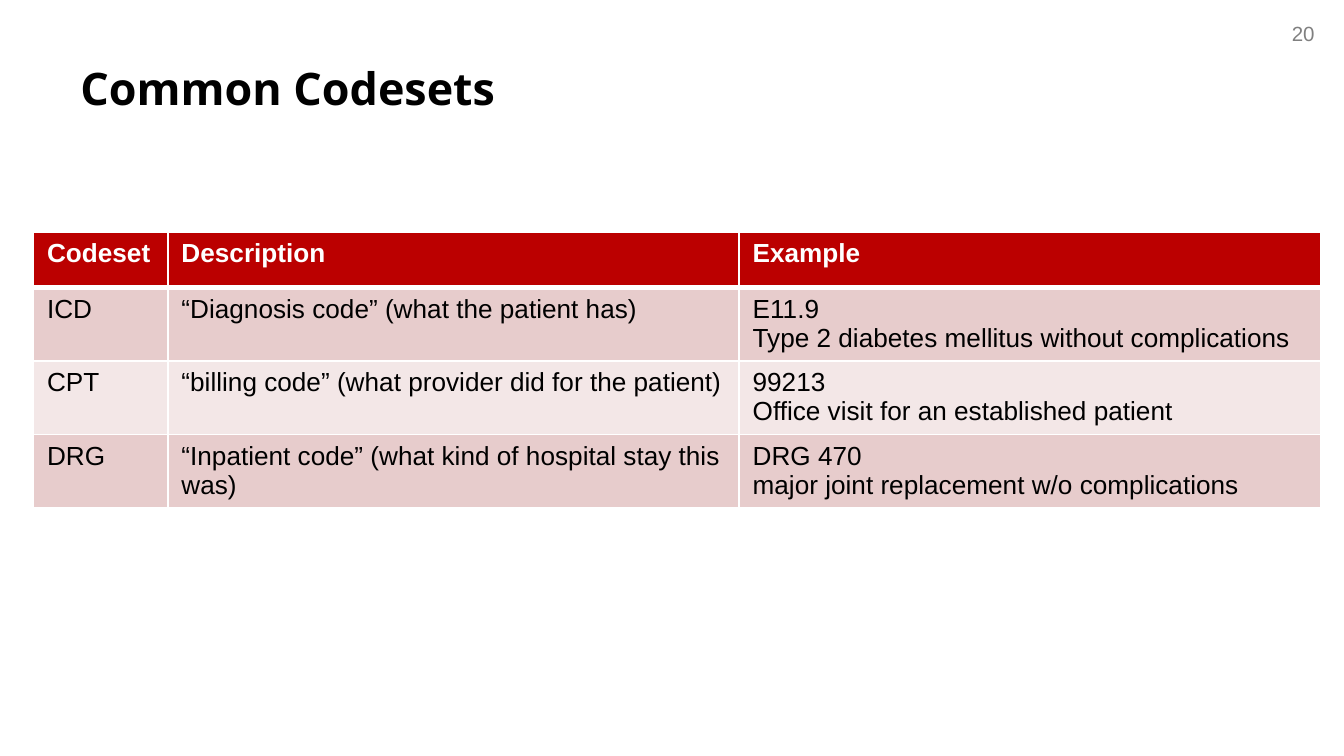
import dataclasses

import lxml.etree
import pptx
import pptx.dml.color
import pptx.enum.text
import pptx.oxml.ns
import pptx.slide
import pptx.table
import pptx.text.text
import pptx.util

Inches = pptx.util.Inches
COLORS = {
    "title": "000000",
    "number": "808080",
    "header": "BB0000",
    "header_text": "FFFFFF",
    "body_text": "000000",
    "odd_row": "E7CCCC",
    "even_row": "F3E7E7",
    "border": "FFFFFF",
}


@dataclasses.dataclass(frozen=True)
class TextStyle:
    font: str
    size: int
    color: str
    bold: bool = False
    align: pptx.enum.text.PP_ALIGN = pptx.enum.text.PP_ALIGN.LEFT


@dataclasses.dataclass(frozen=True)
class Label:
    text: str
    left: float
    top: float
    width: float
    height: float
    style: TextStyle


@dataclasses.dataclass(frozen=True)
class Codeset:
    name: str
    description: str
    example: tuple[str, ...]


HEADER_STYLE = TextStyle("Arial", 14, "header_text", bold=True)
BODY_STYLE = TextStyle("Arial", 14, "body_text")
LABELS = [
    Label("20", 9.33, 0.11, 0.55, 0.29,
          TextStyle("Arial", 11, "number", align=pptx.enum.text.PP_ALIGN.RIGHT)),
    Label("Common Codesets", 0.5, 0.4, 9, 0.67,
          TextStyle("Open Sans", 24, "title", bold=True)),
]
HEADINGS = Codeset("Codeset", "Description", ("Example",))
CODESETS = [
    Codeset("ICD", "“Diagnosis code” (what the patient has)",
            ("E11.9", "Type 2 diabetes mellitus without complications")),
    Codeset("CPT", "“billing code” (what provider did for the patient)",
            ("99213", "Office visit for an established patient")),
    Codeset("DRG", "“Inpatient code” (what kind of hospital stay this was)",
            ("DRG 470", "major joint replacement w/o complications")),
]
COLUMN_WIDTHS = (1, 4.25, 4.33)
ROW_HEIGHT = 0.41


def rgb(name: str) -> pptx.dml.color.RGBColor:
    return pptx.dml.color.RGBColor.from_string(COLORS[name])


def write_lines(frame: pptx.text.text.TextFrame, lines: tuple[str, ...], style: TextStyle) -> None:
    paragraph = frame.paragraphs[0]
    for index, line in enumerate(lines):
        if index:
            paragraph.add_line_break()
        paragraph.add_run().text = line
    paragraph.alignment = style.align
    paragraph.font.name = style.font
    paragraph.font.size = pptx.util.Pt(style.size)
    paragraph.font.bold = style.bold
    paragraph.font.color.rgb = rgb(style.color)


def add_label(slide: pptx.slide.Slide, label: Label) -> None:
    box = slide.shapes.add_textbox(
        Inches(label.left), Inches(label.top), Inches(label.width), Inches(label.height)
    )
    box.text_frame.word_wrap = True
    write_lines(box.text_frame, (label.text,), label.style)


def add_border(cell: pptx.table._Cell, side: str, points: float) -> None:
    qn = pptx.oxml.ns.qn
    properties = cell._tc.get_or_add_tcPr()
    line = lxml.etree.SubElement(properties, qn(f"a:ln{side}"), w=str(pptx.util.Pt(points)))
    fill = lxml.etree.SubElement(line, qn("a:solidFill"))
    lxml.etree.SubElement(fill, qn("a:srgbClr"), val=COLORS["border"])


def add_codeset_table(slide: pptx.slide.Slide) -> None:
    rows = [HEADINGS, *CODESETS]
    table = slide.shapes.add_table(
        len(rows), len(COLUMN_WIDTHS), Inches(0.25), Inches(1.73),
        Inches(sum(COLUMN_WIDTHS)), Inches(ROW_HEIGHT * len(rows)),
    ).table
    for column, width in zip(table.columns, COLUMN_WIDTHS):
        column.width = Inches(width)
    for row_index, codeset in enumerate(rows):
        table.rows[row_index].height = Inches(ROW_HEIGHT)
        style = BODY_STYLE if row_index else HEADER_STYLE
        band = "odd_row" if row_index % 2 else "even_row"
        fill = band if row_index else "header"
        borders = {
            "L": 1,
            "R": 1,
            "T": 3 if row_index == 1 else 1,
            "B": 3 if row_index == 0 else 1,
        }
        contents = ((codeset.name,), (codeset.description,), codeset.example)
        for cell, lines in zip(table.rows[row_index].cells, contents):
            write_lines(cell.text_frame, lines, style)
            cell.margin_bottom = Inches(0.03)
            for side, points in borders.items():
                add_border(cell, side, points)
            cell.fill.solid()
            cell.fill.fore_color.rgb = rgb(fill)


def main() -> None:
    """Build the slide that lists common medical codesets."""
    presentation = pptx.Presentation()
    presentation.slide_width = Inches(10)
    presentation.slide_height = presentation.slide_width * 9 // 16
    slide = presentation.slides.add_slide(presentation.slide_layouts[6])
    for label in LABELS:
        add_label(slide, label)
    add_codeset_table(slide)
    presentation.save("out.pptx")


if __name__ == "__main__":
    main()
